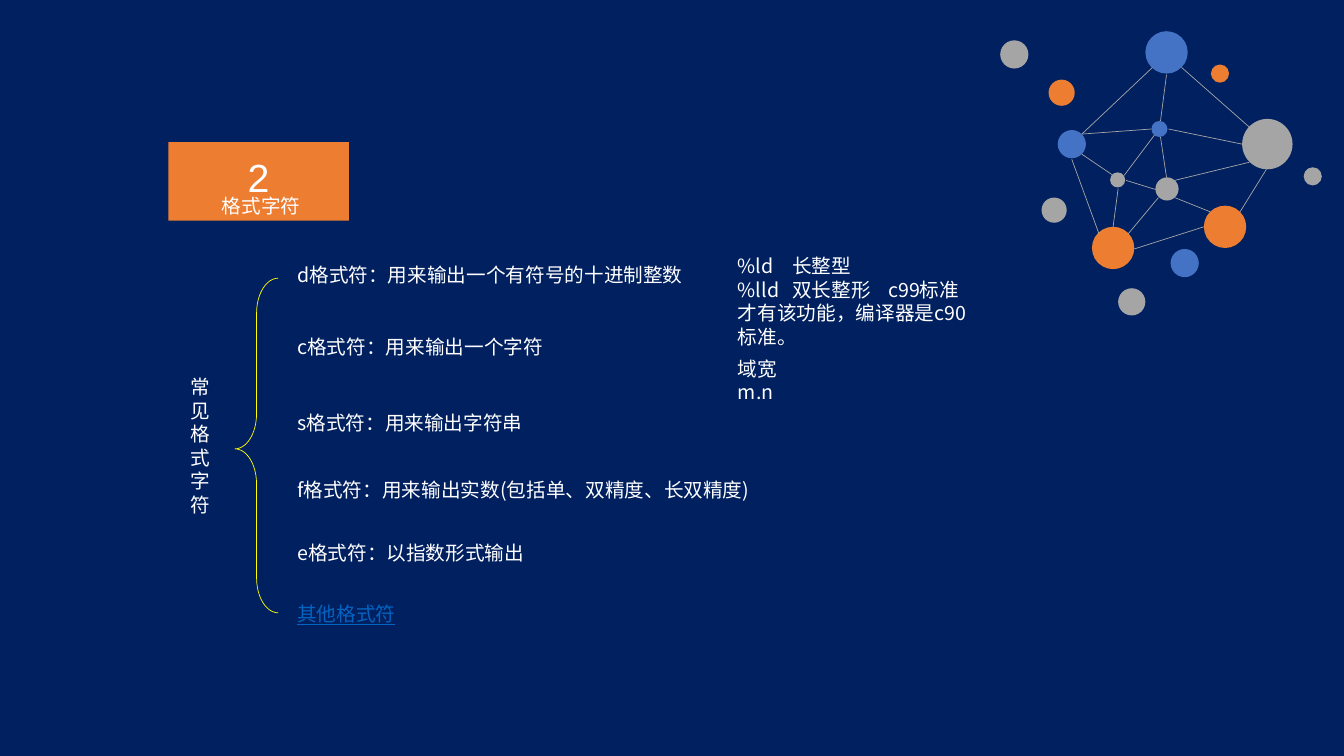
from dataclasses import dataclass

from lxml import etree
from pptx import Presentation
from pptx.dml.color import RGBColor
from pptx.enum.shapes import MSO_CONNECTOR, MSO_SHAPE
from pptx.enum.text import MSO_ANCHOR, MSO_AUTO_SIZE, PP_ALIGN
from pptx.oxml.ns import qn
from pptx.util import Emu, Pt

PX = 9144  # 100 px to the inch
TITLE_ONLY = 5
ELLIPSE, RECTANGLE, BRACE = MSO_SHAPE.OVAL, MSO_SHAPE.RECTANGLE, MSO_SHAPE.LEFT_BRACE
STRAIGHT = MSO_CONNECTOR.STRAIGHT
CENTER, MIDDLE = PP_ALIGN.CENTER, MSO_ANCHOR.MIDDLE
FIT_SHAPE, NO_FIT = MSO_AUTO_SIZE.SHAPE_TO_FIT_TEXT, MSO_AUTO_SIZE.NONE


@dataclass(frozen=True)
class Theme:
    navy: RGBColor = RGBColor.from_string("002060")
    white: RGBColor = RGBColor.from_string("FFFFFF")
    blue: RGBColor = RGBColor.from_string("4472C4")
    orange: RGBColor = RGBColor.from_string("ED7D31")
    grey: RGBColor = RGBColor.from_string("A5A5A5")
    yellow: RGBColor = RGBColor.from_string("FFFF00")
    link: RGBColor = RGBColor.from_string("0563C1")
    font: str = "Noto Sans CJK SC"
    number_font: str = "Arial"
    text_size: Pt = Pt(14)
    number_size: Pt = Pt(28)
    leading: Pt = Pt(16.8)
    caption_leading: Pt = Pt(21.8)
    hairline: Pt = Pt(0.5)


THEME = Theme()

# left, top, diameter, colour
NODES = [
    (144, 0, 42, THEME.blue), (91, 194, 42, THEME.orange),
    (154, 145, 23, THEME.grey), (57, 98, 28, THEME.blue),
    (209, 33, 18, THEME.orange), (240, 87, 50, THEME.grey),
    (150, 89, 16, THEME.blue), (202, 173, 42, THEME.orange),
    (109, 140, 15, THEME.grey), (169, 216, 28, THEME.blue),
    (48, 48, 26, THEME.orange), (0, 9, 28, THEME.grey),
    (117, 255, 27, THEME.grey), (41, 165, 25, THEME.grey),
    (301, 135, 18, THEME.grey),
]
# start x, start y, end x, end y
LINKS = [
    (180, 36, 247, 95), (173, 148, 247, 130), (238, 179, 264, 137),
    (127, 201, 157, 165), (81, 102, 151, 36), (159, 89, 165, 43),
    (240, 112, 167, 97), (159, 105, 165, 145), (173, 165, 208, 179),
    (81, 102, 150, 97), (71, 127, 98, 201), (81, 122, 112, 143),
    (123, 143, 153, 103), (125, 148, 154, 157), (112, 194, 117, 156),
    (133, 216, 202, 194),
]
# top, width, text
FORMATS = [
    (0, 406, "d格式符：用来输出一个有符号的十进制整数"),
    (71, 265, "c格式符：用来输出一个字符"),
    (147, 245, "s格式符：用来输出字符串"),
    (213, 478, "f格式符：用来输出实数(包括单、双精度、长双精度)"),
    (276, 437, "e格式符：以指数形式输出"),
]


def px(*lengths):
    return [Emu(length * PX) for length in lengths]


def style_para(para, color=THEME.white, size=THEME.text_size,
               font=THEME.font, leading=THEME.leading):
    para.line_spacing = leading
    for span in para.runs:
        span.font.size = size
        span.font.color.rgb = color
        span.font.name = font
        east_asian = etree.SubElement(span.font._element, qn("a:ea"))
        east_asian.set("typeface", font)


def add_tabs(para, *stops):
    tabs = etree.SubElement(para._p.get_or_add_pPr(), qn("a:tabLst"))
    for stop in px(*stops):
        etree.SubElement(tabs, qn("a:tab"), pos=str(stop), algn="l")


def add_text(slide, box, text, color=THEME.white, tabs=()):
    text_frame = slide.shapes.add_textbox(*px(*box)).text_frame
    text_frame.word_wrap = True
    text_frame.auto_size = FIT_SHAPE
    text_frame.text = text
    for para in text_frame.paragraphs:
        style_para(para, color)
        if tabs:
            add_tabs(para, *tabs)
    return text_frame


def add_filled(shapes, preset, box, color):
    shape = shapes.add_shape(preset, *px(*box))
    shape.shadow.inherit = False
    shape.fill.solid()
    shape.fill.fore_color.rgb = color
    shape.line.fill.background()
    return shape


def add_network(slide, left, top):
    shapes = slide.shapes.add_group_shape().shapes
    for x, y, diameter, color in NODES:
        add_filled(shapes, ELLIPSE, (left + x, top + y, diameter, diameter), color)
    for x1, y1, x2, y2 in LINKS:
        ends = px(left + x1, top + y1, left + x2, top + y2)
        link = shapes.add_connector(STRAIGHT, *ends)
        link.line.color.rgb = THEME.grey
        link.line.width = THEME.hairline
        etree.SubElement(link._element.spPr, qn("a:effectLst"))


def set_badge_text(shape, text, **style):
    text_frame = shape.text_frame
    text_frame.auto_size = NO_FIT
    text_frame.word_wrap = True
    text_frame.vertical_anchor = MIDDLE
    text_frame.margin_left, text_frame.margin_top = px(14, 7)
    text_frame.margin_right, text_frame.margin_bottom = px(14, 7)
    text_frame.text = text
    para = text_frame.paragraphs[0]
    para.alignment = CENTER
    style_para(para, **style)


def add_badge(slide, left, top, width, height):
    """Orange section plate with the slide title under its number."""
    add_filled(slide.shapes, RECTANGLE, (left, top, width, height), THEME.orange)
    title = slide.shapes.title
    title.left, title.top, title.width, title.height = px(left + 12, top + 45, 160, 30)
    set_badge_text(title, "格式字符", leading=THEME.caption_leading)
    slide.shapes._spTree.append(title._element)  # above the plate
    number = add_filled(slide.shapes, RECTANGLE, (left + 44, top, 91, 54), THEME.orange)
    set_badge_text(number, "2", size=THEME.number_size,
                   font=THEME.number_font, leading=1.3)


def add_format_tree(slide, left, top):
    add_text(slide, (left, top + 111, 43, 151), "常见格式字符")
    brace = slide.shapes.add_shape(BRACE, *px(left + 54, top + 20, 43, 332))
    brace.shadow.inherit = False
    brace.adjustments[0], brace.adjustments[1] = 0.81, 0.51
    brace.fill.background()
    brace.line.color.rgb = THEME.yellow
    brace.line.width = THEME.hairline
    for offset, width, text in FORMATS:
        add_text(slide, (left + 106, top + offset, width, 34), text)
    others = add_text(slide, (left + 106, top + 336, 118, 34), "其他格式符", THEME.link)
    others.paragraphs[0].runs[0].font.underline = True


def add_notes_column(slide, left, top):
    add_text(slide, (left, top, 258, 81),
             "%ld\t长整型\n%lld\t双长整形\tc99标准才有该功能，编译器是c90标准。",
             tabs=(54, 149))
    add_text(slide, (left, top + 102, 106, 34), "域宽\vm.n")


def main():
    deck = Presentation()
    deck.slide_width, deck.slide_height = px(1333, 750)
    slide = deck.slides.add_slide(deck.slide_layouts[TITLE_ONLY])
    slide.background.fill.solid()
    slide.background.fill.fore_color.rgb = THEME.navy
    add_format_tree(slide, 179, 256)
    add_notes_column(slide, 722, 247)
    add_network(slide, 992, 31)
    add_badge(slide, 167, 141, 179, 78)
    deck.save("out.pptx")


if __name__ == "__main__":
    main()
